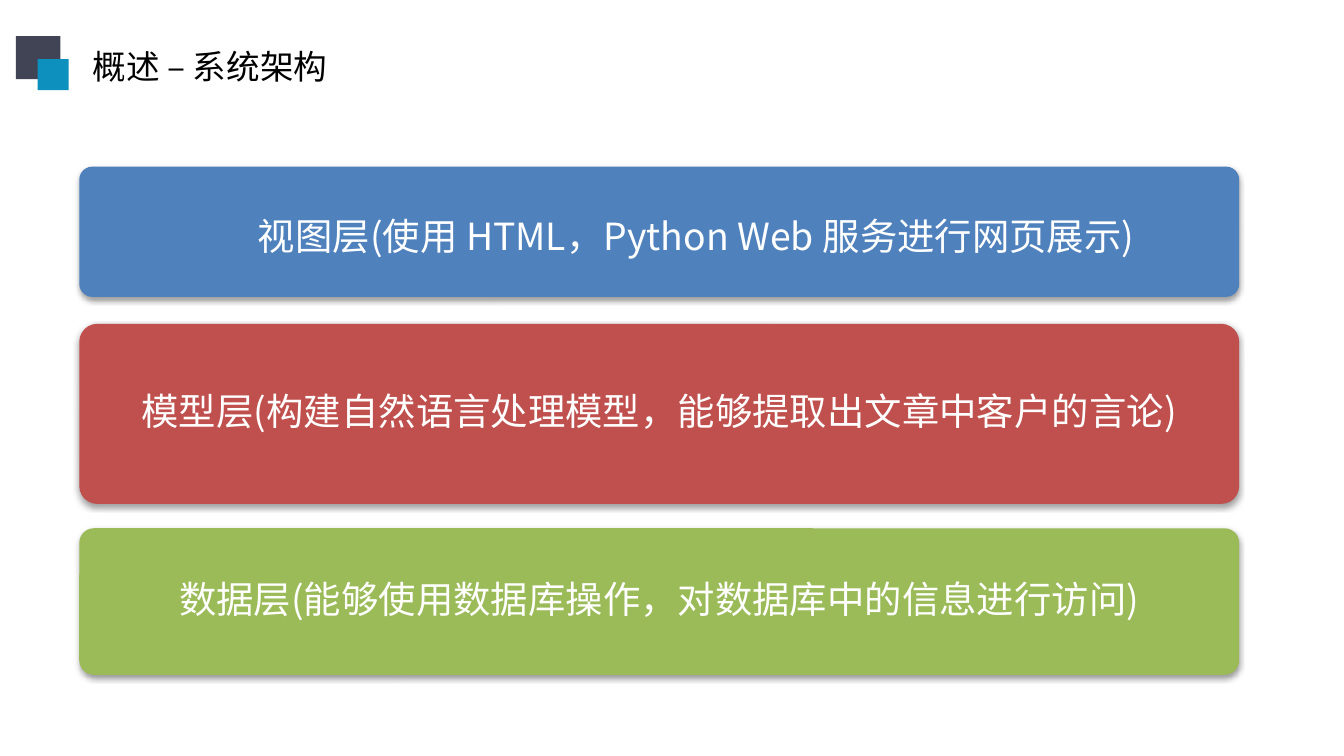
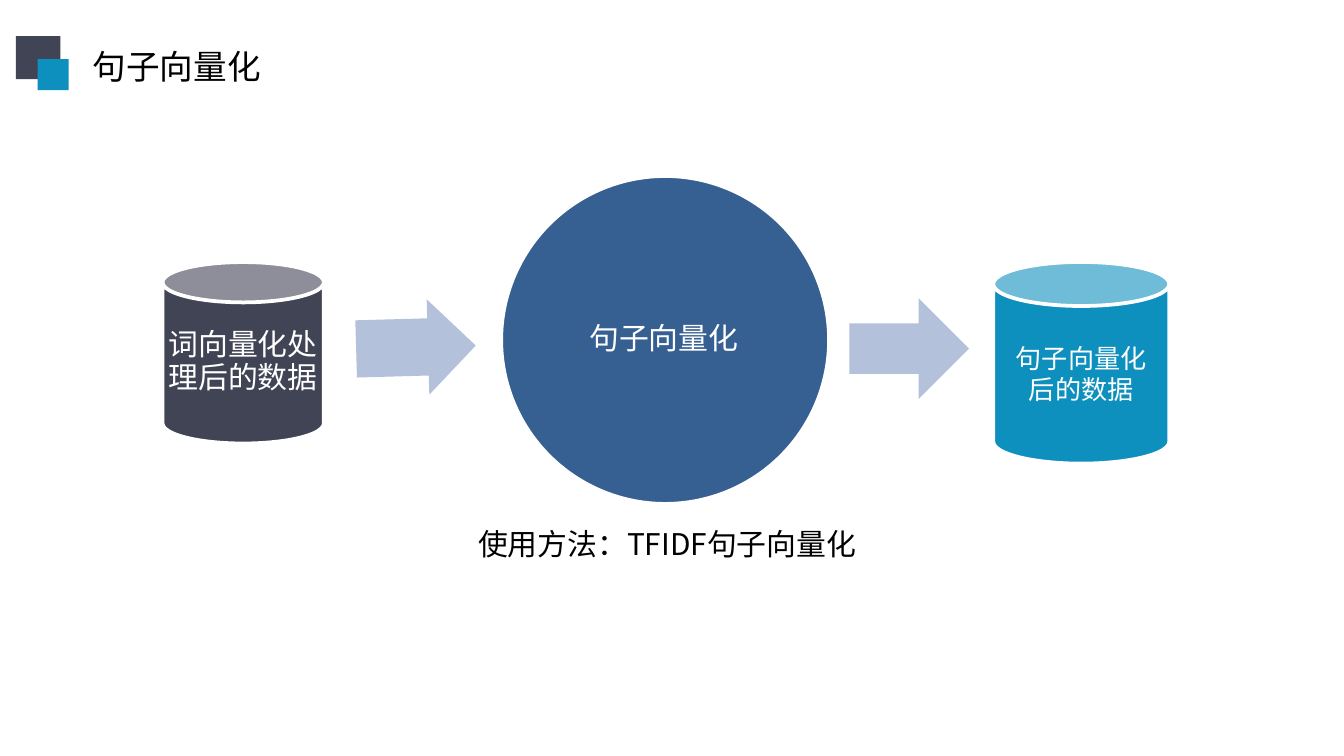
from lxml.etree import SubElement
from pptx import Presentation
from pptx.dml.color import RGBColor
from pptx.enum.shapes import MSO_SHAPE as Preset
from pptx.enum.text import MSO_ANCHOR as Anchor, MSO_AUTO_SIZE as AutoSize, PP_ALIGN as Align
from pptx.oxml.ns import qn
from pptx.util import Pt

FONT = "Noto Sans CJK SC"
COLORS = {
    "black": "000000", "white": "FFFFFF", "slate": "414455", "cyan": "0E90BE",
    "view": "4F81BD", "model": "C0504D", "data": "9BBB59",
    "process": "376092", "arrow": "B3C1DB",
}
TITLE_BOX = (42.5, 20.9, 144, 28.8)
LAYERS = [
    ("视图层(使用 HTML，Python Web 服务进行网页展示)", "view", 0, 69.8, (43.2, 6.5, 3.6, 2.1), 18, 1),
    ("模型层(构建自然语言处理模型，能够提取出文章中客户的言论)", "model", 84.2, 96.5, (7.2, 2.9, 7.2, 2.9), 7.2, 0.9),
    ("数据层(能够使用数据库操作，对数据库中的信息进行访问)", "data", 193.7, 78.5, (18, 2.2, 18, 2.2), 5.8, 0.9),
]


def rgb(name):
    """Return the palette colour called name."""
    return RGBColor.from_string(COLORS[name])


def place(item, box):
    """Move and size an item to a box in points."""
    item.left, item.top, item.width, item.height = map(Pt, box)


def write(frame, text, size, color="white", align=Align.CENTER, spacing=1):
    """Write one formatted run in the first paragraph of a frame."""
    paragraph = frame.paragraphs[0]
    paragraph.alignment, paragraph.line_spacing = align, spacing
    run = paragraph.add_run()
    run.text = text
    run.font.name, run.font.size, run.font.bold = FONT, Pt(size), False
    run.font.color.rgb = rgb(color)
    SubElement(run.font._element, qn("a:ea"), typeface=FONT)


def set_margins(frame, horizontal, vertical):
    """Set the inner margins of a frame."""
    frame.margin_left = frame.margin_right = Pt(horizontal)
    frame.margin_top = frame.margin_bottom = Pt(vertical)


def add_figure(slide, preset, box, fill, outline=False, adjustments=()):
    """Add a flat filled figure, outlined in white on request."""
    figure = slide.shapes.add_shape(preset, *map(Pt, box))
    figure.shadow.inherit = False
    figure.fill.solid()
    figure.fill.fore_color.rgb = rgb(fill)
    if outline:
        figure.line.color.rgb = rgb("white")
        figure.line.width = Pt(2)
    else:
        figure.line.fill.background()
    for index, value in enumerate(adjustments):
        figure.adjustments[index] = value
    return figure


def add_label(slide, box, text, size, margin, spacing=0.9):
    """Add a centred white label that fills a box."""
    frame = slide.shapes.add_textbox(*map(Pt, box)).text_frame
    frame.word_wrap, frame.vertical_anchor = True, Anchor.MIDDLE
    set_margins(frame, margin, margin)
    write(frame, text, size, spacing=spacing)


def cast_shadow(figure):
    """Give a figure a soft shadow below it."""
    effects = figure._element.spPr.find(qn("a:effectLst"))
    shadow = SubElement(effects, qn("a:outerShdw"), blurRad=str(Pt(3.1)), dist=str(Pt(1.6)),
                        dir="5400000", rotWithShape="0")
    color = SubElement(shadow, qn("a:srgbClr"), val=COLORS["black"])
    SubElement(color, qn("a:alpha"), val="38000")


def add_header(slide, title):
    """Fill the title and add the two overlapping squares beside it."""
    place(slide.shapes.title, TITLE_BOX)
    frame = slide.shapes.title.text_frame
    frame.word_wrap, frame.vertical_anchor = False, Anchor.TOP
    frame.auto_size = AutoSize.SHAPE_TO_FIT_TEXT
    set_margins(frame, 7.2, 3.6)
    write(frame, title, 18, "black", Align.LEFT)
    add_figure(slide, Preset.RECTANGLE, (8.6, 19.4, 23.8, 23), "slate")
    add_figure(slide, Preset.RECTANGLE, (20.2, 31.7, 16.6, 16.6), "cyan")


def add_layers(slide, box):
    """Stack the architecture layers in a box."""
    left, top, width, _ = box
    for text, fill, offset, height, inset, margin, spacing in LAYERS:
        y = top + offset
        band = add_figure(slide, Preset.ROUNDED_RECTANGLE, (left, y, width, height), fill, adjustments=[0.1])
        cast_shadow(band)
        before, above, after, below = inset
        label_box = (left + before, y + above, width - before - after, height - above - below)
        add_label(slide, label_box, text, 20, margin, spacing)


def add_flow(slide, box):
    """Lay out input store, process and output store in a box."""
    left, top, _, _ = box

    def within(x, y, width, height):
        """Shift a box by the corner of the flow."""
        return left + x, top + y, width, height

    add_figure(slide, Preset.CAN, within(0, 46.1, 86.4, 97.2), "slate", True)
    add_label(slide, within(0, 67.7, 86.4, 64.1), "词向量化处理后的数据", 16, 1.4)
    inflow = add_figure(slide, Preset.RIGHT_ARROW, within(103.7, 66.2, 64.1, 51.1), "arrow", adjustments=[0.6, 0.5])
    inflow.rotation = 358.4
    add_figure(slide, Preset.OVAL, within(181.4, 0, 175.7, 175.7), "process", True)
    add_label(slide, within(206.6, 25.9, 123.8, 123.8), "句子向量化", 16, 1.4)
    add_figure(slide, Preset.RIGHT_ARROW, within(367.9, 65.5, 64.1, 54), "arrow")
    result = add_figure(slide, Preset.CAN, within(445, 46.1, 94.3, 108), "cyan", True)
    result.text_frame.word_wrap = True
    result.text_frame.vertical_anchor = Anchor.MIDDLE
    write(result.text_frame, "句子向量化后的数据", 14)
    caption = slide.shapes.add_textbox(*map(Pt, within(162, 183.6, 244.8, 26.6))).text_frame
    caption.word_wrap, caption.auto_size = True, AutoSize.SHAPE_TO_FIT_TEXT
    write(caption, "使用方法：TFIDF句子向量化", 16, "black", Align.LEFT)


def main():
    """Build and save the two slides."""
    deck = Presentation()
    deck.slide_width, deck.slide_height = Pt(720), Pt(405)
    pages = [
        ("概述 – 系统架构", add_layers, (42.5, 89.3, 621.4, 272.2)),
        ("句子向量化", add_flow, (87.1, 94.3, 539.3, 210.2)),
    ]
    for title, add_body, box in pages:
        slide = deck.slides.add_slide(deck.slide_layouts[5])
        add_header(slide, title)
        add_body(slide, box)
    deck.save("out.pptx")


if __name__ == "__main__":
    main()
